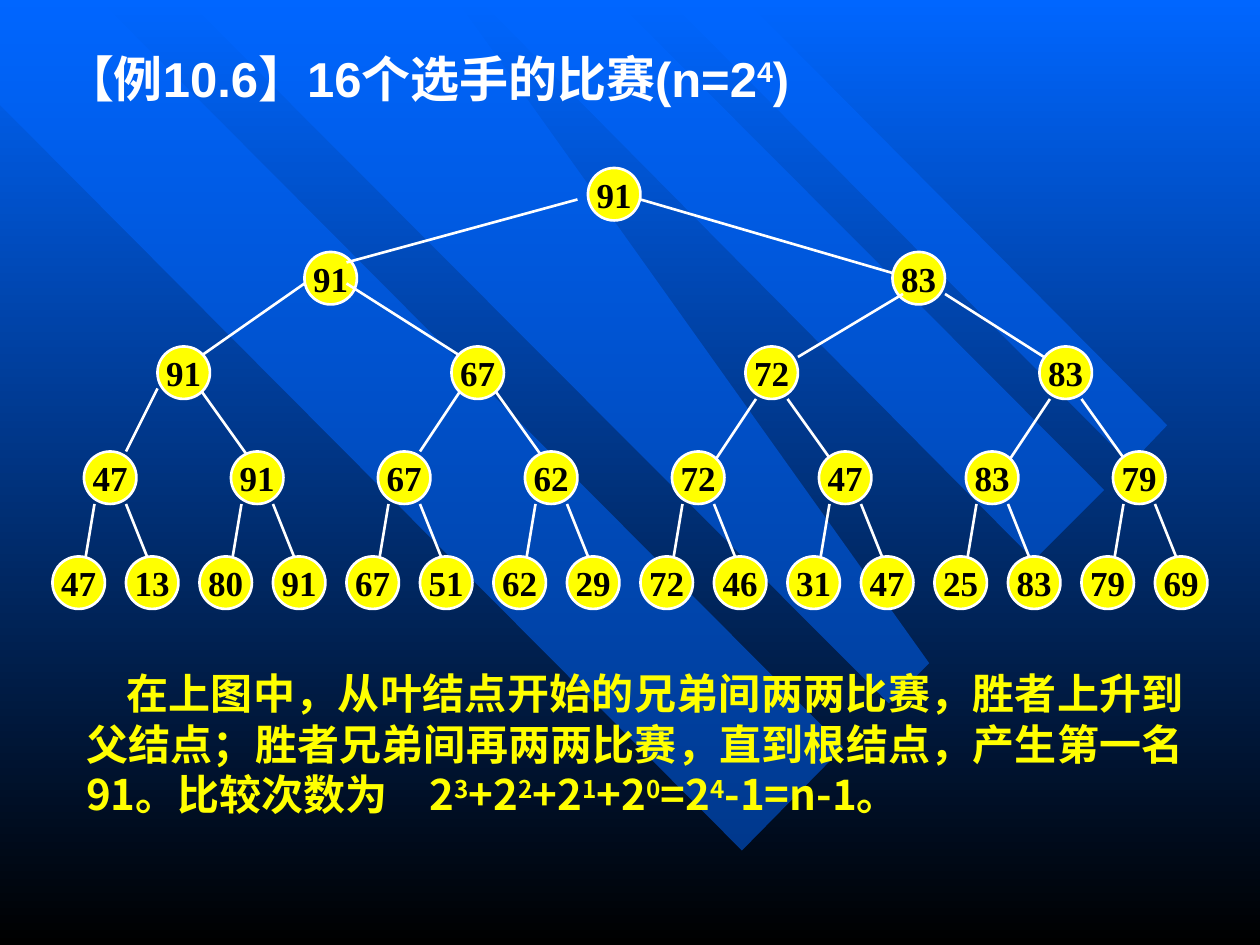
from typing import NamedTuple

from lxml import etree
from pptx import Presentation
from pptx.dml.color import RGBColor
from pptx.enum import shapes as kinds, text as styles
from pptx.oxml import ns
from pptx.util import Pt

WHITE = RGBColor(0xFF, 0xFF, 0xFF)
YELLOW = RGBColor(0xFF, 0xFF, 0x00)
BLACK = RGBColor(0, 0, 0)
BLUE = RGBColor(0x00, 0x66, 0xFF)
CJK_FONT = "Noto Sans CJK SC"
NODE_SIZE = 30
LINE_WIDTH = 1.5


class Edge(NamedTuple):
    x1: float
    y1: float
    x2: float
    y2: float


class Level(NamedTuple):
    """Position of the first node of a round and the step to the next one."""
    left: float
    top: float
    step: float


LEVELS = [Level(336, 96, 0), Level(174, 144, 336), Level(90, 198, 168),
          Level(48, 258, 84), Level(30, 318, 42)]
PLAYERS = [47, 13, 80, 91, 67, 51, 62, 29, 72, 46, 31, 47, 25, 83, 79, 69]

UPPER_EDGES = [
    Edge(330, 114, 198, 150), Edge(366, 114, 510, 156),
    Edge(174, 162, 114, 204), Edge(198, 162, 264, 204),
    Edge(516, 168, 456, 204), Edge(540, 168, 606, 210),
    Edge(90, 222, 72, 258), Edge(114, 222, 144, 264),
    Edge(264, 222, 240, 258), Edge(282, 222, 312, 264),
    Edge(432, 228, 408, 264), Edge(450, 228, 480, 270),
    Edge(600, 228, 576, 264), Edge(618, 228, 648, 270),
]

STRIPES = [
    [(482.4, 427), (56.9, 0), (0, 0), (0, 60.5), (424, 486)],
    [(261.4, 0), (531.4, 379.4), (508.3, 402.5), (107.3, 0)],
    [(352, 0), (630.7, 280), (591, 319.7), (273.6, 0)],
    [(381.6, 0), (645.8, 265), (667.4, 243.4), (425.5, 0)],
]


def write(shape, content: str, *, size: float, font: str, color: RGBColor,
          align, anchor=styles.MSO_ANCHOR.TOP, wrap: bool = True,
          indent: float = 0) -> None:
    """Fill a shape with bold text; parts between carets are superscript."""
    frame = shape.text_frame
    frame.word_wrap = wrap
    frame.auto_size = styles.MSO_AUTO_SIZE.NONE
    frame.vertical_anchor = anchor
    frame.margin_left = frame.margin_right = Pt(7.2)
    frame.margin_top = frame.margin_bottom = Pt(3.6)
    paragraph = frame.paragraphs[0]
    properties = paragraph._p.get_or_add_pPr()
    properties.set("marL", "0")
    properties.set("indent", str(Pt(indent)))
    etree.SubElement(properties, ns.qn("a:buNone"))
    paragraph.alignment = align
    paragraph.space_before = Pt(0)
    for i, part in enumerate(content.split("^")):
        run = paragraph.add_run()
        run.text = part
        run.font.size = Pt(size)
        run.font.bold = True
        run.font.name = font
        run.font.color.rgb = color
        run_properties = run._r.get_or_add_rPr()
        etree.SubElement(run_properties, ns.qn("a:ea"), typeface=CJK_FONT)
        if i % 2:
            run_properties.set("baseline", "30000")


def place(shape, left: float, top: float, width: float, height: float) -> None:
    shape.left, shape.top = Pt(left), Pt(top)
    shape.width, shape.height = Pt(width), Pt(height)


def draw_stripe(slide, points: list, layer: int) -> None:
    builder = slide.shapes.build_freeform(*points[0], scale=Pt(1))
    builder.add_line_segments(points[1:], close=True)
    stripe = builder.convert_to_shape()
    stripe.shadow.inherit = False
    stripe.line.fill.background()
    stripe.fill.solid()
    stripe.fill.fore_color.rgb = BLUE
    color = stripe.element.find(".//" + ns.qn("a:srgbClr"))
    etree.SubElement(color, ns.qn("a:alpha"), val="50000")
    # Stripes lie behind the placeholders
    slide.shapes.element.insert(2 + layer, stripe.element)


def draw_edge(slide, edge: Edge) -> None:
    line = slide.shapes.add_connector(
        kinds.MSO_CONNECTOR.STRAIGHT, *(Pt(value) for value in edge))
    line.line.color.rgb = WHITE
    line.line.width = Pt(LINE_WIDTH)
    etree.SubElement(line.element.spPr, ns.qn("a:effectLst"))


def draw_round(slide, level: Level, winners: list) -> None:
    for i, number in enumerate(winners):
        node = slide.shapes.add_shape(
            kinds.MSO_SHAPE.OVAL, Pt(level.left + i * level.step),
            Pt(level.top), Pt(NODE_SIZE), Pt(NODE_SIZE))
        node.shadow.inherit = False
        node.fill.solid()
        node.fill.fore_color.rgb = YELLOW
        node.line.color.rgb = WHITE
        node.line.width = Pt(LINE_WIDTH)
        write(node, str(number), size=20, font="Times New Roman", color=BLACK,
              align=styles.PP_ALIGN.CENTER, anchor=styles.MSO_ANCHOR.MIDDLE,
              wrap=False)


def main() -> None:
    deck = Presentation()
    deck.slide_width, deck.slide_height = Pt(720), Pt(540)
    slide = deck.slides.add_slide(deck.slide_layouts[1])

    # Background
    backdrop = slide.background.fill
    backdrop.gradient()
    backdrop.gradient_angle = 270
    for stop, color, position in zip(backdrop.gradient_stops, (BLUE, BLACK), (0, 1)):
        stop.color.rgb = color
        stop.position = position
    for layer, points in enumerate(STRIPES):
        draw_stripe(slide, points, layer)

    # Title and explanation
    heading, explanation = slide.placeholders
    place(heading, 30, 24, 654, 41)
    write(heading, "【例10.6】16个选手的比赛(n=2^4^)", size=28, font="Arial",
          color=WHITE, align=styles.PP_ALIGN.JUSTIFY)
    place(explanation, 42, 378, 642, 93.6)
    write(explanation,
          "在上图中，从叶结点开始的兄弟间两两比赛，胜者上升到父结点；"
          "胜者兄弟间再两两比赛，直到根结点，产生第一名91。比较次数为　"
          "2^3^+2^2^+2^1^+2^0^=2^4^-1=n-1。",
          size=24, font=CJK_FONT, color=YELLOW,
          align=styles.PP_ALIGN.JUSTIFY, indent=23)

    # Each round holds the winners of the pairs below it
    rounds = [PLAYERS]
    while len(rounds[0]) > 1:
        below = rounds[0]
        rounds.insert(0, [max(pair) for pair in zip(below[::2], below[1::2])])

    # Tree: the edges lie above the two top rounds and below the others
    parents = LEVELS[3]
    lower_edges = []
    for i in range(len(rounds[3])):
        x = parents.left + i * parents.step
        lower_edges += [Edge(x + 6, 288, x, 324), Edge(x + 24, 288, x + 36, 318)]
    for level, winners in zip(LEVELS[:2], rounds[:2]):
        draw_round(slide, level, winners)
    for edge in UPPER_EDGES + lower_edges:
        draw_edge(slide, edge)
    for level, winners in zip(LEVELS[2:], rounds[2:]):
        draw_round(slide, level, winners)

    deck.save("out.pptx")


if __name__ == "__main__":
    main()
